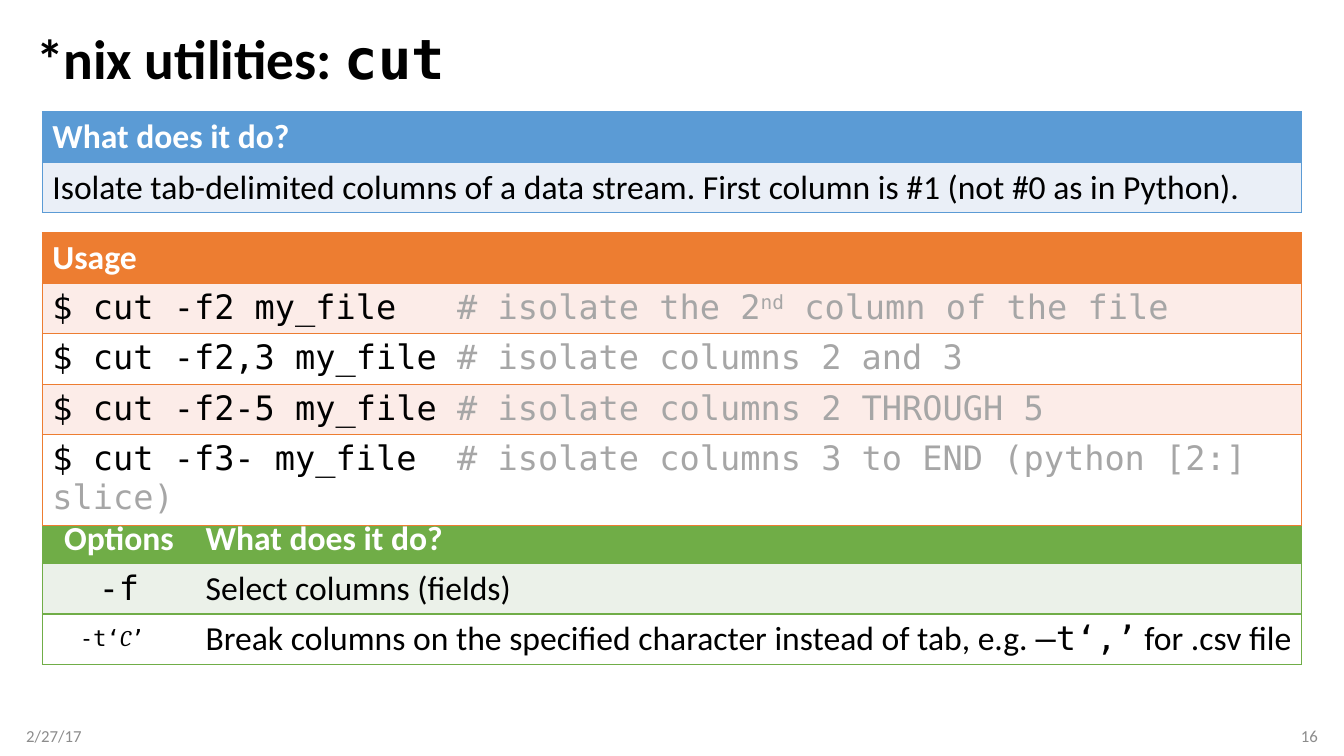
from dataclasses import dataclass

from lxml.etree import SubElement
from pptx import Presentation
from pptx.dml.color import RGBColor
from pptx.enum.text import MSO_ANCHOR as Anchor, PP_ALIGN as Align
from pptx.oxml.ns import qn
from pptx.util import Inches, Pt


@dataclass(frozen=True)
class Theme:
    sans: str = "Calibri"
    mono: str = "DejaVu Sans Mono"
    serif: str = "Cambria"
    black: str = "000000"
    white: str = "FFFFFF"
    gray: str = "A6A6A6"
    foot: str = "8C8C8C"
    blue: str = "5B9BD5"
    orange: str = "ED7D31"
    green: str = "70AD47"
    pale_blue: str = "EAEFF7"
    pale_orange: str = "FCECE8"
    pale_green: str = "EBF1E9"
    title: float = 39.6
    body: int = 24
    code: int = 16
    small: int = 12


T = Theme()
LEFT, WIDTH, ROW = 0.42, 12.49, 0.41
CODE_COLS = 20


def style(font, face=None, size=None, color=None, bold=None, italic=None):
    if face:
        font.name = face
    if size:
        font.size = Pt(size)
    if color:
        font.color.rgb = RGBColor.from_string(color)
    if bold is not None:
        font.bold = bold
    if italic is not None:
        font.italic = italic


def write(frame, text, align=Align.LEFT, **base):
    """Fill a frame with a string, or with (string, style changes) runs."""
    para = frame.paragraphs[0]
    para.alignment = align
    style(para.font, **base)
    for words, change in [(text, {})] if isinstance(text, str) else text:
        run = para.add_run()
        run.text = words
        change = dict(change)
        if change.pop("raised", False):
            run.font._element.set("baseline", "30000")
        style(run.font, **change)
    return para


def add_text(slide, box, text, align=Align.LEFT, pad=(0.1, 0.1), **base):
    frame = slide.shapes.add_textbox(*map(Inches, box)).text_frame
    frame.word_wrap = True
    frame.vertical_anchor = Anchor.MIDDLE
    frame.margin_left, frame.margin_right = map(Inches, pad)
    return write(frame, text, align, **base)


def edge(cell, color, sides):
    """Draw the named sides of a cell and clear the others."""
    props = cell._tc.get_or_add_tcPr()
    for side in "LRTB":
        line = SubElement(props, qn(f"a:ln{side}"), w=str(Pt(1)))
        if side in sides:
            fill = SubElement(line, qn("a:solidFill"))
            SubElement(fill, qn("a:srgbClr"), val=color)
        else:
            SubElement(line, qn("a:noFill"))


def add_grid(slide, top, cols, rows, color, pale, face=T.sans,
             anchor=Anchor.TOP, center=()):
    """Add a table with a coloured header and banded rows."""
    table = slide.shapes.add_table(
        len(rows), len(cols), Inches(LEFT), Inches(top),
        Inches(sum(cols)), Inches(ROW * len(rows))).table
    table.first_row = table.horz_banding = False
    for col, width in zip(table.columns, cols):
        col.width = Inches(width)
    for r, row in enumerate(rows):
        head = r == 0
        shade = color if head else (T.white, pale)[r % 2]
        for c, text in enumerate(row):
            cell = table.cell(r, c)
            sides = "TB" + "L" * (c == 0) + "R" * (c == len(cols) - 1)
            edge(cell, color, sides)
            cell.fill.solid()
            cell.fill.fore_color.rgb = RGBColor.from_string(shade)
            cell.vertical_anchor = anchor
            write(cell.text_frame, text,
                  Align.CENTER if c in center else Align.LEFT,
                  face=T.sans if head else face, size=T.body,
                  color=T.white if head else T.black, bold=head)


def add_about(slide, top):
    about = ("Isolate tab-delimited columns of a data stream. "
             "First column is #1 (not #0 as in Python).")
    add_grid(slide, top, [WIDTH], [["What does it do?"], [about]],
             T.blue, T.pale_blue)


def add_usage(slide, top):
    note = {"color": T.gray}
    uses = [
        ("-f2 my_file", [("# isolate the 2", note),
                         ("nd", {**note, "raised": True}),
                         (" column of the file", note)]),
        ("-f2,3 my_file", [("# isolate columns 2 and 3", note)]),
        ("-f2-5 my_file", [("# isolate columns 2 THROUGH 5", note)]),
        ("-f3- my_file",
         [("# isolate columns 3 to END (python [2:] slice)", note)]),
    ]
    rows = [[[(f"$ cut {args}".ljust(CODE_COLS), {}), *notes]]
            for args, notes in uses]
    add_grid(slide, top, [WIDTH], [["Usage"], *rows],
             T.orange, T.pale_orange, T.mono)


def add_options(slide, top):
    mono = {"face": T.mono}
    code = {**mono, "size": T.code}
    split = [("-t‘", code),
             ("C", {**code, "face": T.serif, "italic": True}),
             ("’ ", code)]
    about = [("Break columns on the specified character "
              "instead of tab, e.g. ", {}),
             ("–t‘,’", mono), (" for .csv file", {})]
    rows = [["Options", "What does it do?"],
            [[("-f", mono)], "Select columns (fields)"],
            [split, about]]
    key = 1.52
    add_grid(slide, top, [key, WIDTH - key], rows, T.green, T.pale_green,
             anchor=Anchor.MIDDLE, center=(0,))


def add_footer(slide, left, top, width):
    span, tall = 3, 0.4
    look = {"face": T.sans, "size": T.small, "color": T.foot}
    add_text(slide, (left, top, span, tall), "2/27/17", pad=(0, 0.1), **look)
    add_text(slide, (left + width - span, top, span, tall), "16",
             Align.RIGHT, pad=(0.1, 0), **look)


def main():
    deck = Presentation()
    deck.slide_width, deck.slide_height = Inches(13.33), Inches(7.5)
    slide = deck.slides.add_slide(deck.slide_layouts[6])
    left, width = 0.26, 12.81
    title = add_text(slide, (left, 0.25, width, 0.72),
                     [("*nix utilities: ", {"face": T.sans}),
                      ("cut", {"face": T.mono})],
                     size=T.title, color=T.black, bold=True)
    title.line_spacing = 0.9
    add_footer(slide, left, 7.1, width)
    add_about(slide, 1.11)
    add_options(slide, 5.09)
    add_usage(slide, 2.31)
    deck.save("out.pptx")


if __name__ == "__main__":
    main()
